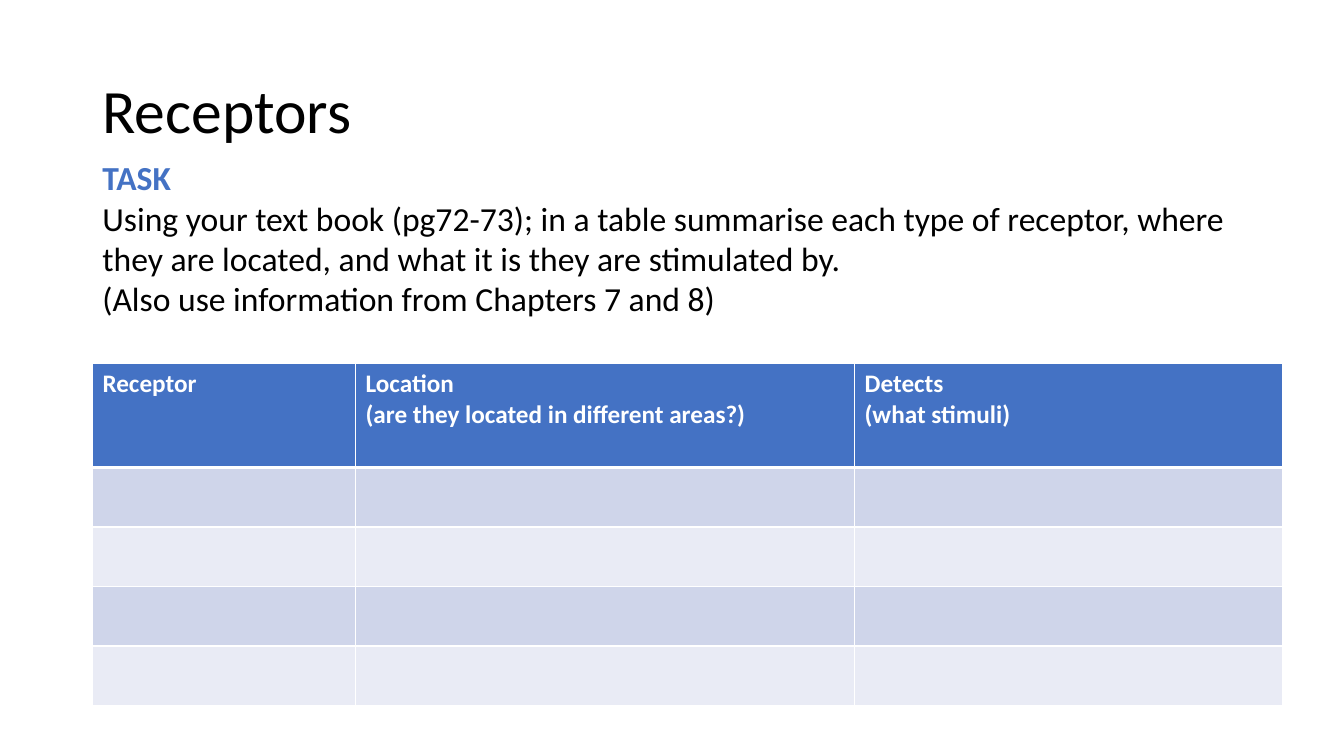
import dataclasses
import typing

import pptx
import pptx.dml.color
import pptx.enum.text
import pptx.oxml
import pptx.oxml.ns
import pptx.util

Color = pptx.dml.color.RGBColor


@dataclasses.dataclass(frozen=True)
class Theme:
    font: str = "Calibri"
    title: int = 44
    body: int = 24
    cell: int = 18
    ink: str = "000000"
    blue: str = "4472C4"
    white: str = "FFFFFF"
    bands: tuple[str, str] = ("CFD5EA", "E9EBF5")


@dataclasses.dataclass(frozen=True)
class Box:
    """Left, top, width and height in percent of the slide."""
    left: float
    top: float
    width: float
    height: float


@dataclasses.dataclass(frozen=True)
class Column:
    head: str
    width: float


THEME = Theme()
WIDE = pptx.util.Inches(13.33)
HIGH = pptx.util.Inches(7.5)

TITLE = Box(6.88, 5.33, 86.25, 19.33)
TASK = Box(6.88, 20.13, 86.25, 22.93)
TABLE = Box(6.88, 48.13, 88.52, 45.2)
HEAD_ROW = 13.72
BODY_ROWS = 4
COLUMNS = (
    Column("Receptor", 19.58),
    Column("Location \v(are they located in different areas?)", 37.13),
    Column("Detects \v(what stimuli)", 31.81),
)
TASK_TEXT = (
    "TASK\vUsing your text book (pg72-73); in a table summarise each type of "
    "receptor, where they are located, and what it is they are stimulated by. "
    "\v(Also use information from Chapters 7 and 8)"
)


def across(share: float) -> int:
    return round(WIDE * share / 100)


def down(share: float) -> int:
    return round(HIGH * share / 100)


def place(box: Box) -> tuple[int, int, int, int]:
    return across(box.left), down(box.top), across(box.width), down(box.height)


def style(font: typing.Any, size: int, color: str, bold: bool = False) -> None:
    font.name = THEME.font
    font.size = pptx.util.Pt(size)
    font.bold = bold
    font.color.rgb = Color.from_string(color)


def border(cell: typing.Any, top: int, bottom: int) -> None:
    props = cell._tc.get_or_add_tcPr()
    for side, width in (("L", 1), ("R", 1), ("T", top), ("B", bottom)):
        props.append(pptx.oxml.parse_xml(
            f'<a:ln{side} {pptx.oxml.ns.nsdecls("a")} w="{pptx.util.Pt(width)}">'
            f'<a:solidFill><a:srgbClr val="{THEME.white}"/></a:solidFill>'
            f'</a:ln{side}>'))


def add_title(slide: typing.Any) -> None:
    title = slide.shapes.title
    title.left, title.top, title.width, title.height = place(TITLE)
    frame = title.text_frame
    frame.text = "Receptors"
    frame.vertical_anchor = pptx.enum.text.MSO_ANCHOR.MIDDLE
    para = frame.paragraphs[0]
    para.alignment = pptx.enum.text.PP_ALIGN.LEFT
    para.line_spacing = 0.9
    style(para.font, THEME.title, THEME.ink)


def add_table(slide: typing.Any) -> None:
    table = slide.shapes.add_table(
        BODY_ROWS + 1, len(COLUMNS), *place(TABLE)).table
    body = (TABLE.height - HEAD_ROW) / BODY_ROWS
    for y, row in enumerate(table.rows):
        row.height = down(body if y else HEAD_ROW)
        fill = THEME.bands[(y - 1) % 2] if y else THEME.blue
        for x, cell in enumerate(row.cells):
            border(cell, 3 if y == 1 else 1, 1 if y else 3)
            cell.fill.solid()
            cell.fill.fore_color.rgb = Color.from_string(fill)
            if y == 0:
                table.columns[x].width = across(COLUMNS[x].width)
                cell.text = COLUMNS[x].head
                style(cell.text_frame.paragraphs[0].font,
                      THEME.cell, THEME.white, True)


def add_task(slide: typing.Any) -> None:
    frame = slide.shapes.add_textbox(*place(TASK)).text_frame
    frame.word_wrap = True
    frame.auto_size = pptx.enum.text.MSO_AUTO_SIZE.SHAPE_TO_FIT_TEXT
    para = frame.paragraphs[0]
    para.text = TASK_TEXT
    style(para.font, THEME.body, THEME.ink)
    style(para.runs[0].font, THEME.body, THEME.blue, True)


def main() -> None:
    deck = pptx.Presentation()
    deck.slide_width, deck.slide_height = WIDE, HIGH
    slide = deck.slides.add_slide(deck.slide_layouts.get_by_name("Title Only"))
    # Heading, answer table and task
    add_title(slide)
    add_table(slide)
    add_task(slide)
    deck.save("out.pptx")


if __name__ == "__main__":
    main()
